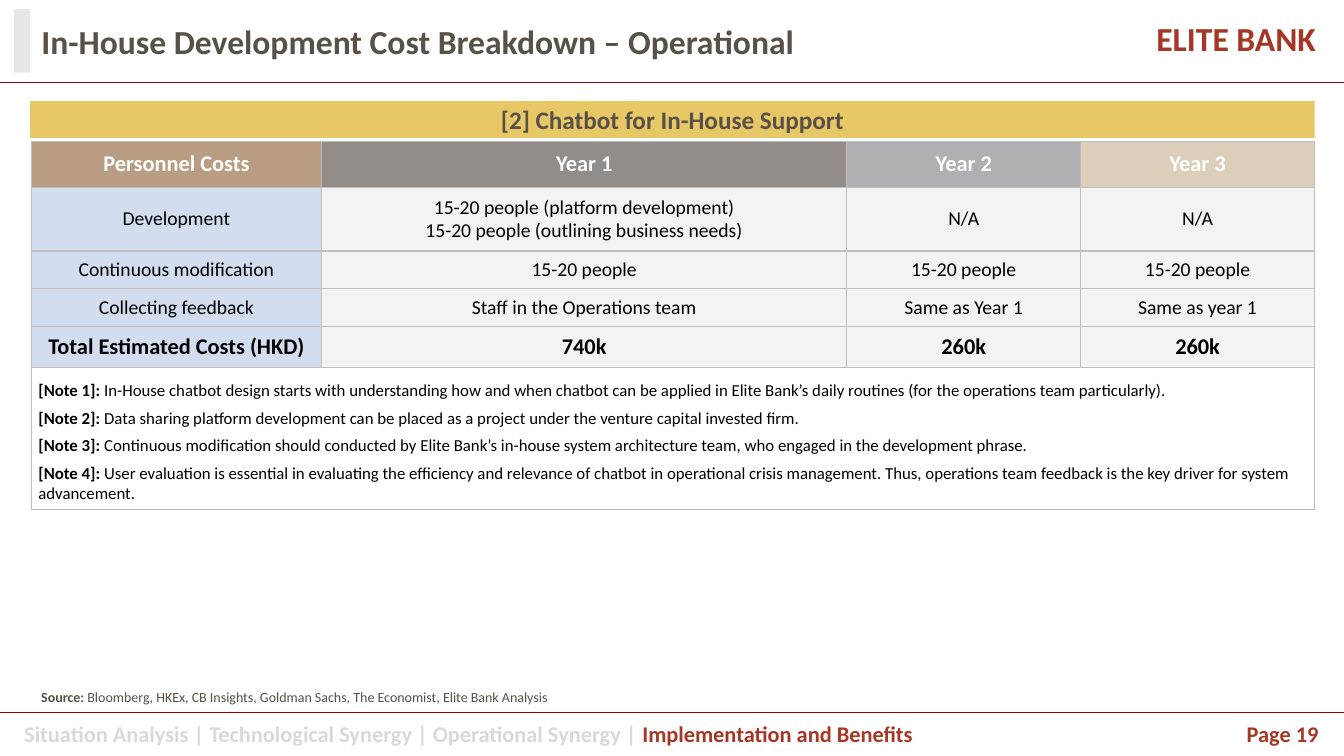
"""Build the in-house development cost slide for the operational chatbot."""
from dataclasses import dataclass

from lxml.etree import SubElement
from pptx import Presentation
from pptx.dml.color import RGBColor
from pptx.enum.shapes import MSO_CONNECTOR, MSO_SHAPE
from pptx.enum.text import MSO_ANCHOR, PP_ALIGN
from pptx.oxml.ns import qn
from pptx.shapes.autoshape import Shape
from pptx.slide import Slide
from pptx.table import Table, _Cell
from pptx.text.text import TextFrame
from pptx.util import Inches, Length, Pt

W, H = 13.33, 7.5
FONT = "Calibri"
NO_GRID_STYLE = "{2D5ABB26-0587-4C30-8999-92F81FD0307C}"

BLACK = RGBColor(0x00, 0x00, 0x00)
WHITE = RGBColor(0xFF, 0xFF, 0xFF)
BROWN = RGBColor(0x58, 0x51, 0x48)
RED = RGBColor(0xA4, 0x37, 0x25)
RULE_RED = RGBColor(0x99, 0x00, 0x00)
MUTED = RGBColor(0xD9, 0xD9, 0xD9)
ACCENT = RGBColor(0xE7, 0xE7, 0xE7)
GOLD = RGBColor(0xE8, 0xC7, 0x67)
BORDER = RGBColor(0xBF, 0xBF, 0xBF)
LABEL_FILL = RGBColor(0xD2, 0xDE, 0xEF)
VALUE_FILL = RGBColor(0xF3, 0xF3, 0xF3)
HEADER_FILLS = [
    RGBColor(0xB8, 0x9D, 0x83),
    RGBColor(0x92, 0x8D, 0x89),
    RGBColor(0xAE, 0xB0, 0xB3),
    RGBColor(0xDB, 0xCF, 0xB9),
]


def x(share: float) -> Length:
    """Return a percentage of the slide width."""
    return Inches(W * share / 100)


def y(share: float) -> Length:
    """Return a percentage of the slide height."""
    return Inches(H * share / 100)


@dataclass(frozen=True)
class Box:
    """Position and size in percent of the slide."""

    left: float
    top: float
    width: float
    height: float

    def emu(self) -> tuple[Length, Length, Length, Length]:
        """Return the box as lengths."""
        return x(self.left), y(self.top), x(self.width), y(self.height)


@dataclass(frozen=True)
class Span:
    """A piece of text with one look."""

    text: str
    size: float
    color: RGBColor = BLACK
    bold: bool = False


@dataclass(frozen=True)
class Row:
    """A row of the cost table, with its height in percent."""

    texts: tuple[str, ...]
    height: float
    size: float = 14
    color: RGBColor = BLACK
    bold: bool = False


ROWS = [
    Row(("Personnel Costs", "Year 1", "Year 2", "Year 3"), 6.13, 16, WHITE, True),
    Row(("Development",
         "15-20 people (platform development)\n15-20 people (outlining business needs)",
         "N/A", "N/A"), 8.4),
    Row(("Continuous modification",) + ("15-20 people",) * 3, 4.93),
    Row(("Collecting feedback", "Staff in the Operations team", "Same as Year 1",
         "Same as year 1"), 5.07),
    Row(("Total Estimated Costs (HKD)", "740k", "260k", "260k"), 5.4, 16, bold=True),
]
NOTES_HEIGHT = 18.8
NOTES = [
    "In-House chatbot design starts with understanding how and when chatbot can be applied in "
    "Elite Bank’s daily routines (for the operations team particularly).",
    "Data sharing platform development can be placed as a project under the venture capital "
    "invested firm.",
    "Continuous modification should conducted by Elite Bank’s in-house system architecture team, "
    "who engaged in the development phrase.",
    "User evaluation is essential in evaluating the efficiency and relevance of chatbot in "
    "operational crisis management. Thus, operations team feedback is the key driver for system "
    "advancement.",
]


def write(tf: TextFrame, paras: list[list[Span]], align: PP_ALIGN = PP_ALIGN.LEFT,
          gap: float = 0, anchor: MSO_ANCHOR = MSO_ANCHOR.MIDDLE) -> None:
    """Fill a text frame with paragraphs of formatted spans."""
    tf.word_wrap = True
    tf.vertical_anchor = anchor
    for i, spans in enumerate(paras):
        p = tf.add_paragraph() if i else tf.paragraphs[0]
        p.alignment = align
        p.space_before = Pt(gap if i else 0)
        for span in spans:
            r = p.add_run()
            r.text = span.text
            r.font.name, r.font.size, r.font.bold = FONT, Pt(span.size), span.bold
            r.font.color.rgb = span.color


def add_bar(s: Slide, box: Box, color: RGBColor) -> Shape:
    """Add a plain filled rectangle."""
    sp = s.shapes.add_shape(MSO_SHAPE.RECTANGLE, *box.emu())
    sp.shadow.inherit = False
    sp.fill.solid()
    sp.fill.fore_color.rgb = color
    sp.line.fill.background()
    return sp


def add_rule(s: Slide, top: float) -> None:
    """Add a thin line across the slide."""
    ln = s.shapes.add_connector(MSO_CONNECTOR.STRAIGHT, 0, y(top), x(100), y(top))
    ln.line.color.rgb = RULE_RED
    ln.line.width = Pt(0.75)
    SubElement(ln._element.spPr, qn("a:effectLst"))


def add_grid(s: Slide, left: float, top: float, cols: list[float], rows: list[float]) -> Table:
    """Add an unstyled table from column and row shares."""
    box = Box(left, top, sum(cols), sum(rows))
    tbl = s.shapes.add_table(len(rows), len(cols), *box.emu()).table
    tbl.first_row = tbl.horz_banding = False
    tbl._tbl.tblPr.find(qn("a:tableStyleId")).text = NO_GRID_STYLE
    for col, width in zip(tbl.columns, cols):
        col.width = x(width)
    for row, height in zip(tbl.rows, rows):
        row.height = y(height)
    return tbl


def style_cell(cell: _Cell, fill: RGBColor) -> None:
    """Give a cell its border, margins and fill."""
    for side in ("a:lnL", "a:lnR", "a:lnT", "a:lnB"):
        ln = SubElement(cell._tc.get_or_add_tcPr(), qn(side), w=str(Pt(1)))
        SubElement(SubElement(ln, qn("a:solidFill")), qn("a:srgbClr"), val=str(BORDER))
    cell.margin_left = cell.margin_right = Inches(0.07)
    cell.margin_top = cell.margin_bottom = 0
    cell.fill.solid()
    cell.fill.fore_color.rgb = fill


def add_costs(s: Slide) -> None:
    """Add the cost table with its notes row."""
    heights = [row.height for row in ROWS] + [NOTES_HEIGHT]
    tbl = add_grid(s, 2.33, 18.67, [21.6, 39.08, 17.4, 17.4], heights)
    for i, row in enumerate(ROWS):
        for j, text in enumerate(row.texts):
            cell = tbl.cell(i, j)
            style_cell(cell, HEADER_FILLS[j] if i == 0 else VALUE_FILL if j else LABEL_FILL)
            lines = [[Span(t, row.size, row.color, row.bold)] for t in text.split("\n")]
            write(cell.text_frame, lines, PP_ALIGN.CENTER)
            cell.vertical_anchor = MSO_ANCHOR.MIDDLE
    last = len(ROWS)
    for j in range(len(HEADER_FILLS)):
        style_cell(tbl.cell(last, j), WHITE)
    notes = tbl.cell(last, 0)
    notes.merge(tbl.cell(last, len(HEADER_FILLS) - 1))
    notes.margin_top = Inches(0.08)
    notes.vertical_anchor = MSO_ANCHOR.MIDDLE
    write(notes.text_frame, [[Span(f"[Note {n}]:", 12, bold=True), Span(f" {text}", 12)]
                             for n, text in enumerate(NOTES, 1)], gap=5)


def add_footer(s: Slide) -> None:
    """Add the section tracker and page number."""
    tbl = add_grid(s, 1.05, 94.53, [90.15, 7.65], [5.47])
    sections = "Situation Analysis | Technological Synergy | Operational Synergy | "
    tracker = [Span(sections, 16, MUTED, True), Span("Implementation and Benefits", 16, RED, True)]
    write(tbl.cell(0, 0).text_frame, [tracker])
    write(tbl.cell(0, 1).text_frame, [[Span("Page 19", 16, RED, True)]], PP_ALIGN.RIGHT)
    for cell in tbl.iter_cells():
        cell.vertical_anchor = MSO_ANCHOR.MIDDLE


def main() -> None:
    """Build and save the slide."""
    prs = Presentation()
    prs.slide_width, prs.slide_height = Inches(W), Inches(H)
    s = prs.slides.add_slide(prs.slide_layouts[5])
    add_footer(s)
    for top in (94.27, 10.93):
        add_rule(s, top)
    add_bar(s, Box(1.05, 1.2, 1.2, 8.4), ACCENT)
    title = s.shapes.title
    title.left, title.top, title.width, title.height = Box(2.33, 0.8, 82.67, 9.33).emu()
    heading = "In-House Development Cost Breakdown – Operational"
    write(title.text_frame, [[Span(heading, 24, BROWN, True)]])
    bank = s.shapes.add_textbox(*Box(85.3, 2.4, 14.03, 6).emu()).text_frame
    write(bank, [[Span("ELITE BANK", 24, RED, True)]], anchor=MSO_ANCHOR.BOTTOM)
    bank.paragraphs[0].line_spacing = Pt(25)
    source = s.shapes.add_textbox(*Box(2.33, 90.4, 95.57, 3.6).emu()).text_frame
    names = "Bloomberg, HKEx, CB Insights, Goldman Sachs, The Economist, Elite Bank Analysis"
    write(source, [[Span("Source: ", 10, BROWN, True), Span(names, 10, BROWN)]])
    add_costs(s)
    banner = add_bar(s, Box(2.25, 13.33, 95.57, 4.93), GOLD)
    write(banner.text_frame, [[Span("[2] Chatbot for In-House Support", 18, BROWN, True)]],
          PP_ALIGN.CENTER)
    prs.save("out.pptx")


if __name__ == "__main__":
    main()
